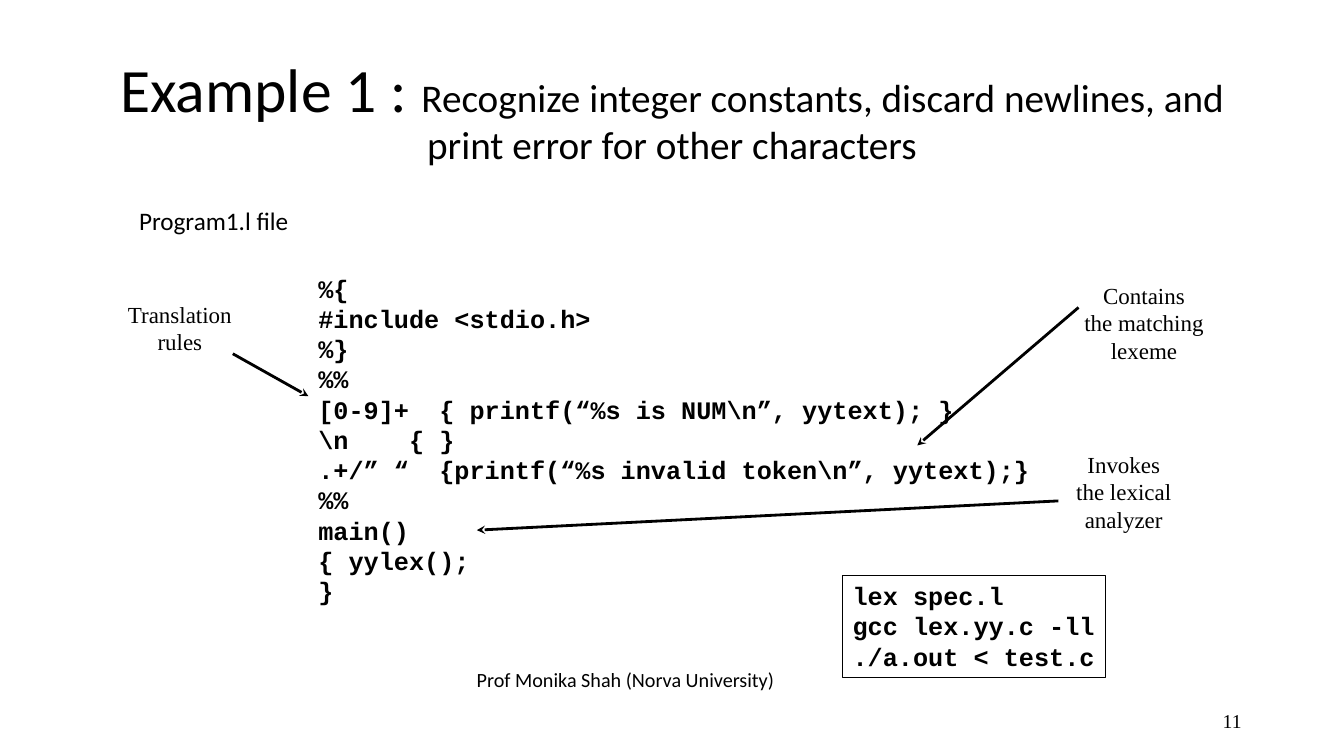
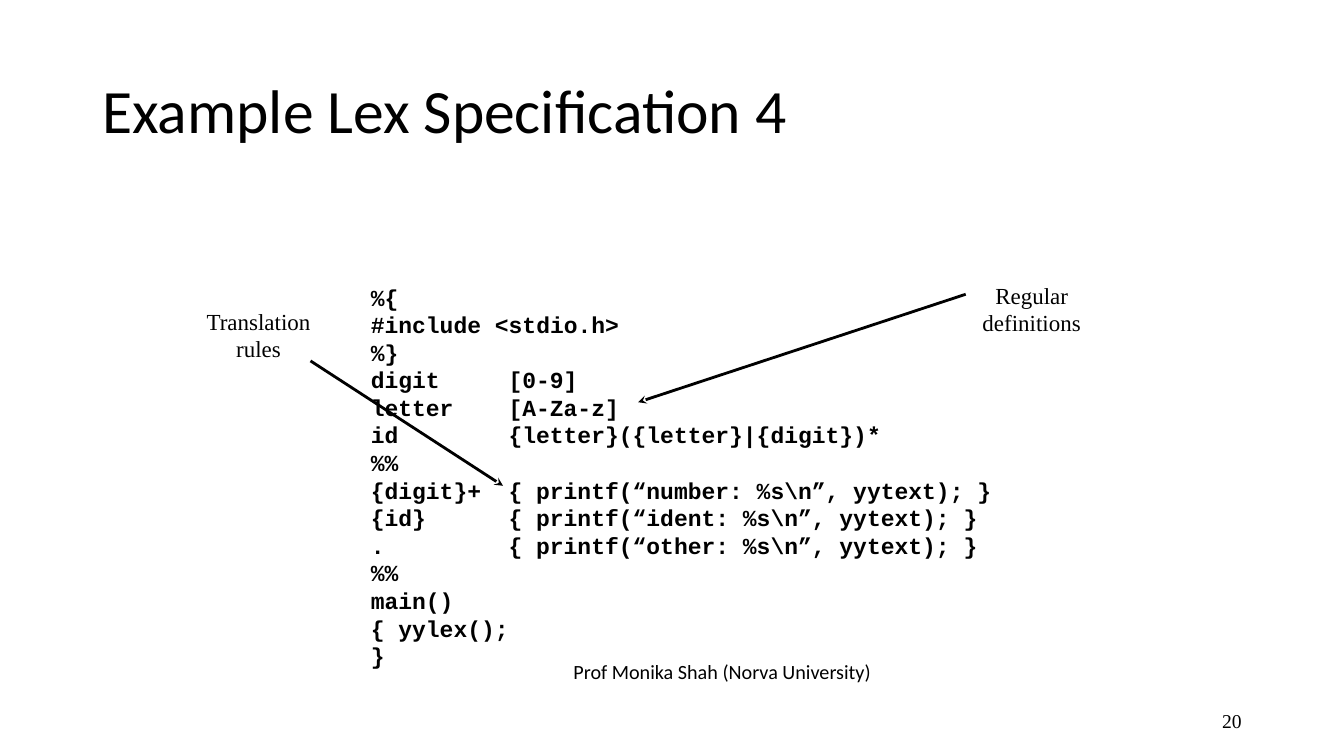
from lxml import etree
from pptx import Presentation
from pptx.dml.color import RGBColor
from pptx.enum.shapes import MSO_CONNECTOR, MSO_SHAPE
from pptx.enum.text import MSO_ANCHOR, PP_ALIGN
from pptx.oxml.ns import qn
from pptx.util import Pt

LEFT, CENTER, RIGHT = PP_ALIGN.LEFT, PP_ALIGN.CENTER, PP_ALIGN.RIGHT
TOP, MIDDLE = MSO_ANCHOR.TOP, MSO_ANCHOR.MIDDLE
RECTANGLE, STRAIGHT = MSO_SHAPE.RECTANGLE, MSO_CONNECTOR.STRAIGHT

COLORS = {"ink": "000000", "paper": "FFFFFF"}
SANS, SERIF, MONO = "Calibri", "Times New Roman", "Courier New"
CHARACTER_WIDTH = 0.6
TITLE_BOX = (66, 28.8, 828, 104.4)
NUMBER_BOX = (678, 500.4, 216, 28.8)
FOOTER_SIZE = (230.4, 22.3)
FOOTER = "Prof Monika Shah (Norva University)"

EXAMPLE_CODE = [
    "%{",
    "#include <stdio.h>",
    "%}",
    "%%",
    ("[0-9]+", 8, "{ printf(“%s is NUM\\n”, yytext); }"),
    ("\\n", 6, "{ }"),
    (".+/” “", 8, "{printf(“%s invalid token\\n”, yytext);}"),
    "%%",
    "main()",
    "{ yylex();",
    "}",
]
SPECIFICATION_CODE = [
    "%{",
    "#include <stdio.h>",
    "%}",
    ("digit", 10, "[0-9]"),
    ("letter", 10, "[A-Za-z]"),
    ("id", 10, "{letter}({letter}|{digit})*"),
    "%%",
    ("{digit}+", 10, "{ printf(“number: %s\\n”, yytext); }"),
    ("{id}", 10, "{ printf(“ident: %s\\n”, yytext); }"),
    (".", 10, "{ printf(“other: %s\\n”, yytext); }"),
    "%%",
    "main()",
    "{ yylex();",
    "}",
]
COMMANDS = ["lex spec.l", "gcc lex.yy.c -ll", "./a.out < test.c"]


def color(name):
    """Return a named colour."""
    return RGBColor.from_string(COLORS[name])


def apply(target, values):
    """Set each attribute of the target from a dict."""
    for name, value in values.items():
        setattr(target, name, value)


def add_span(para, text, size, font, bold=False):
    """Add one run of text to a paragraph."""
    span = para.add_run()
    span.text = text
    apply(span.font, {"size": Pt(size), "name": font, "bold": bold})
    span.font.color.rgb = color("ink")


def add_lines(frame, lines, size, font, align=LEFT, bold=False):
    """Fill a frame with one paragraph for each line."""
    for index, line in enumerate(lines):
        para = frame.paragraphs[0] if index == 0 else frame.add_paragraph()
        para.alignment = align
        if isinstance(line, tuple):
            head, column, body = line
            set_tab(para, column * size * CHARACTER_WIDTH)
            line = head + "\t" + body
        add_span(para, line, size, font, bold)


def set_tab(para, distance):
    """Give a paragraph one left tab stop."""
    stops = etree.SubElement(para._p.get_or_add_pPr(), qn("a:tabLst"))
    etree.SubElement(stops, qn("a:tab"), pos=str(int(Pt(distance))), algn="l")


def add_frame(page, box, wrap=True, anchor=TOP):
    """Add a text box and return its frame."""
    frame = page.shapes.add_textbox(*map(Pt, box)).text_frame
    apply(frame, {"word_wrap": wrap, "vertical_anchor": anchor})
    return frame


def add_title(page, spans, align):
    """Place the title from pairs of text and size."""
    para = add_frame(page, TITLE_BOX, anchor=MIDDLE).paragraphs[0]
    apply(para, {"alignment": align, "line_spacing": 0.9})
    for text, size in spans:
        add_span(para, text, size, SANS)


def add_footer(page, corner, number):
    """Place the author line and the page number."""
    frame = add_frame(page, corner + FOOTER_SIZE, anchor=MIDDLE)
    apply(frame, {"margin_left": Pt(3.6), "margin_right": Pt(3.6),
                  "margin_top": Pt(2.2), "margin_bottom": Pt(2.2)})
    add_lines(frame, [FOOTER], 14.4, SANS, RIGHT)
    number_frame = add_frame(page, NUMBER_BOX, anchor=MIDDLE)
    add_lines(number_frame, [number], 14, SERIF, RIGHT)


def add_code(page, box, lines, size):
    """Place a program listing."""
    add_lines(add_frame(page, box, wrap=False), lines, size, MONO, bold=True)


def add_commands(page, box):
    """Place the outlined box of shell commands."""
    panel = page.shapes.add_shape(RECTANGLE, *map(Pt, box))
    panel.shadow.inherit = False
    panel.fill.background()
    panel.line.color.rgb = color("ink")
    panel.line.width = Pt(0.75)
    apply(panel.text_frame, {"word_wrap": False, "vertical_anchor": TOP})
    add_lines(panel.text_frame, COMMANDS, 18, MONO, bold=True)


def add_callout(page, box, lines, start, end):
    """Place a label and the arrow from it to the code."""
    add_lines(add_frame(page, box, wrap=False), lines, 16.4, SERIF, CENTER)
    arrow = page.shapes.add_connector(STRAIGHT, *map(Pt, start + end))
    arrow.line.color.rgb = color("ink")
    arrow.line.width = Pt(2)
    etree.SubElement(arrow.line._get_or_add_ln(), qn("a:tailEnd"), type="stealth")
    etree.SubElement(arrow._element.spPr, qn("a:effectLst"))


def add_page(deck):
    """Add a blank page with the shared background."""
    page = deck.slides.add_slide(deck.slide_layouts[6])
    page.background.fill.solid()
    page.background.fill.fore_color.rgb = color("paper")
    return page


def build_example(deck):
    """Build the page on integer constants."""
    page = add_page(deck)
    add_title(page, [
        ("Example 1 : ", 44),
        ("Recognize integer constants, discard newlines, and print error "
         "for other characters", 28),
    ], CENTER)
    file_frame = add_frame(page, (92.2, 143.3, 144.7, 28.8))
    add_lines(file_frame, ["Program1.l file"], 18, SANS)
    add_code(page, (220.3, 191.5, 524.9, 247), EXAMPLE_CODE, 18)
    add_callout(page, (766.8, 197.3, 100.8, 67), ["Contains", "the matching", "lexeme"],
                (770.4, 219.6), (655.2, 318.2))
    add_callout(page, (761, 318.2, 83.5, 67), ["Invokes", "the lexical", "analyzer"],
                (756, 357.8), (340.6, 378.7))
    add_callout(page, (83.5, 211, 90, 46.8), ["Translation", "rules"],
                (166.3, 252.7), (220.3, 283))
    add_commands(page, (601.9, 411.1, 187.9, 72.7))
    add_footer(page, (326.2, 474.5), "11")


def build_specification(deck):
    """Build the page on regular definitions."""
    page = add_page(deck)
    add_title(page, [("Example Lex Specification 4", 44)], LEFT)
    add_code(page, (257.8, 198.7, 463, 285.8), SPECIFICATION_CODE, 16.4)
    add_callout(page, (694.1, 197.3, 85.7, 46.8), ["Regular", "definitions"],
                (689.8, 210.2), (455.8, 287.3))
    add_callout(page, (139.7, 216, 90, 46.8), ["Translation", "rules"],
                (221.8, 257.8), (359.3, 347))
    add_footer(page, (395.3, 468.7), "20")


def main():
    """Build and save the deck."""
    deck = Presentation()
    apply(deck, {"slide_width": Pt(960), "slide_height": Pt(540)})
    build_example(deck)
    build_specification(deck)
    deck.save("out.pptx")


if __name__ == "__main__":
    main()
